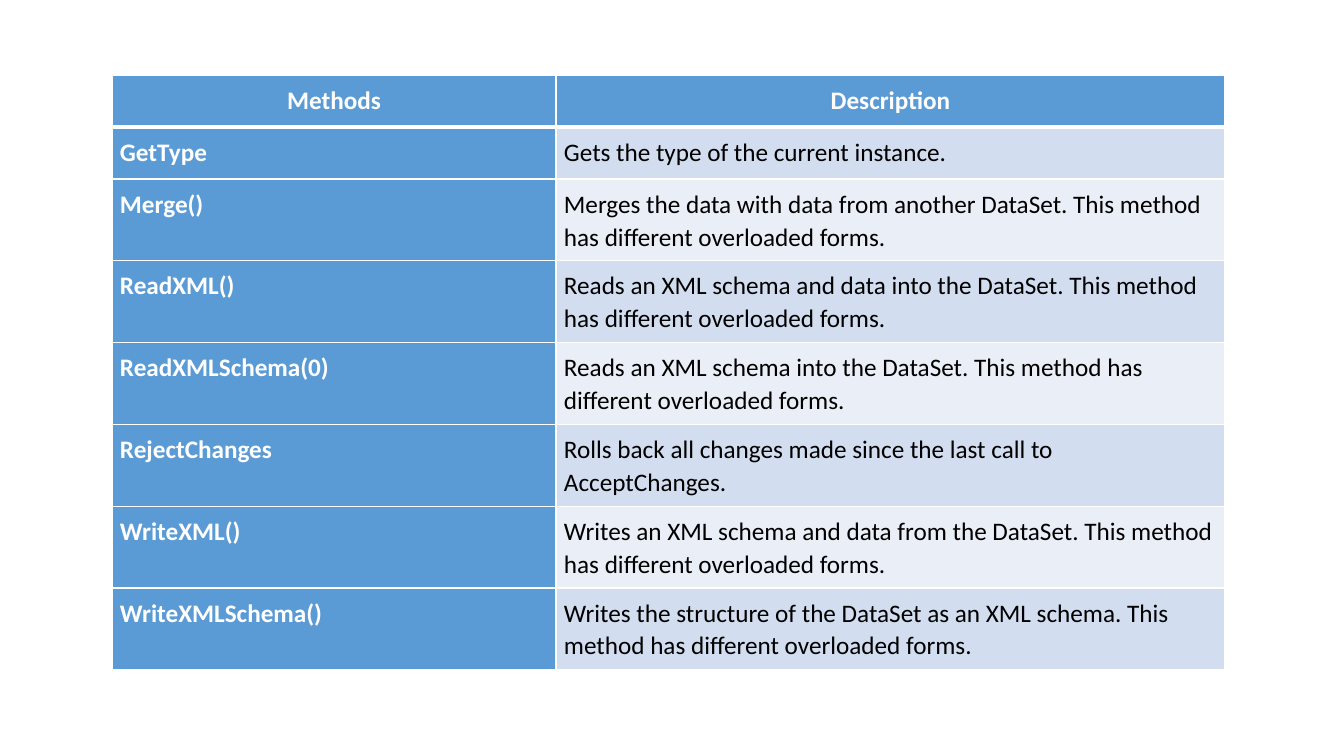
from lxml import etree
from pptx import Presentation
from pptx.dml.color import RGBColor
from pptx.enum.text import PP_ALIGN
from pptx.oxml.ns import qn
from pptx.util import Pt

CENTER, LEFT = PP_ALIGN.CENTER, PP_ALIGN.LEFT
EMU_PER_PX = 914400 / 100.8
BLANK_LAYOUT = 6

WHITE, BLACK, BLUE = "FFFFFF", "000000", "5B9BD5"
BANDS = ["D2DEEF", "EAEFF7"]

HEADINGS = ("Methods", "Description")
METHODS = [
    ("GetType", "Gets the type of the current instance."),
    ("Merge()", "Merges the data with data from another DataSet. "
                "This method has different overloaded forms."),
    ("ReadXML()", "Reads an XML schema and data into the DataSet. "
                  "This method has different overloaded forms."),
    ("ReadXMLSchema(0)", "Reads an XML schema into the DataSet. "
                         "This method has different overloaded forms."),
    ("RejectChanges", "Rolls back all changes made since the last call to AcceptChanges."),
    ("WriteXML()", "Writes an XML schema and data from the DataSet. "
                   "This method has different overloaded forms."),
    ("WriteXMLSchema()", "Writes the structure of the DataSet as an XML schema. "
                         "This method has different overloaded forms."),
]
COLUMN_WIDTHS = [444, 669]
ROW_HEIGHTS = [52, 52] + [81] * 6


def px(length):
    return round(length * EMU_PER_PX)


def color(hex_string):
    return RGBColor.from_string(hex_string)


class MethodsSlide:
    font_name = "Calibri"
    font_size = Pt(18)
    inset = px(8)

    def __init__(self, deck):
        self.slide = deck.slides.add_slide(deck.slide_layouts[BLANK_LAYOUT])

    def border(self, cell, side, width):
        line = etree.SubElement(cell._tc.get_or_add_tcPr(), qn(f"a:ln{side}"), w=str(Pt(width)))
        fill = etree.SubElement(line, qn("a:solidFill"))
        etree.SubElement(fill, qn("a:srgbClr"), val=WHITE)

    def cell(self, cell, text, fill, ink, bold, align, top=1, bottom=1):
        for side, width in (("L", 1), ("R", 1), ("T", top), ("B", bottom)):
            self.border(cell, side, width)
        cell.fill.solid()
        cell.fill.fore_color.rgb = color(fill)
        cell.margin_left = cell.margin_right = self.inset
        cell.margin_top = cell.margin_bottom = self.inset
        cell.text = text
        para = cell.text_frame.paragraphs[0]
        para.alignment = align
        para.line_spacing = 1.07
        para.space_after = Pt(15)
        para.font.name = self.font_name
        para.font.size = self.font_size
        para.font.bold = bold
        para.font.color.rgb = color(ink)

    def table(self, left, top, widths, heights, headings, records):
        frame = self.slide.shapes.add_table(
            len(heights), len(widths), px(left), px(top), px(sum(widths)), px(sum(heights)))
        table = frame.table
        for column, width in zip(table.columns, widths):
            column.width = px(width)
        for row, height in zip(table.rows, heights):
            row.height = px(height)
        for column, heading in enumerate(headings):
            self.cell(table.cell(0, column), heading, BLUE, WHITE, True, CENTER, bottom=3)
        for row, (method, description) in enumerate(records, start=1):
            top_border = 3 if row == 1 else 1
            band = BANDS[(row - 1) % 2]
            self.cell(table.cell(row, 0), method, BLUE, WHITE, True, LEFT, top=top_border)
            self.cell(table.cell(row, 1), description, band, BLACK, False, LEFT, top=top_border)


def main():
    deck = Presentation()
    deck.slide_width, deck.slide_height = px(1344), px(756)
    page = MethodsSlide(deck)
    page.table(112, 75, COLUMN_WIDTHS, ROW_HEIGHTS, HEADINGS, METHODS)
    deck.save("out.pptx")


if __name__ == "__main__":
    main()
